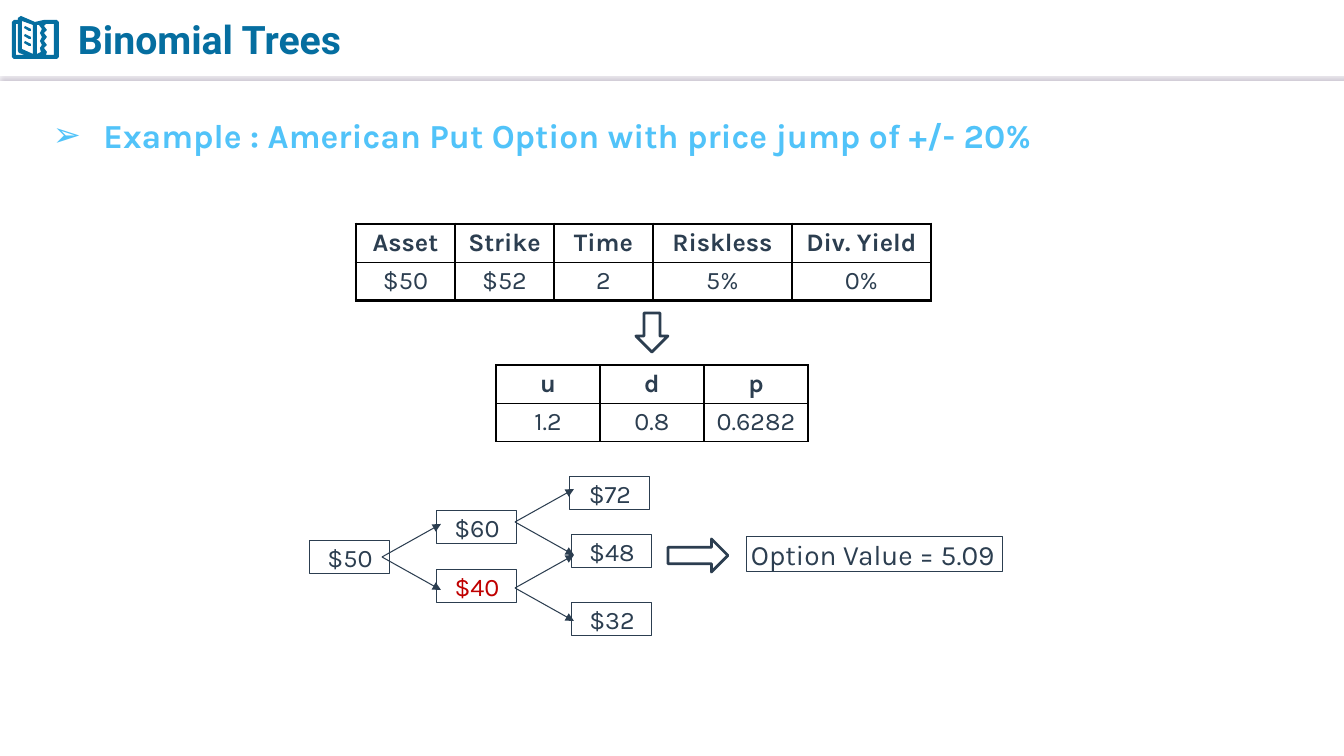
from pptx import Presentation
from pptx.dml.color import RGBColor
from pptx.enum.shapes import MSO_CONNECTOR as Link, MSO_SHAPE as Kind
from pptx.enum.text import MSO_ANCHOR as Anchor, PP_ALIGN as Align
from pptx.oxml import parse_xml
from pptx.oxml.ns import nsdecls, qn
from pptx.util import Emu, Pt

SCALE = 914400 / 100.8
BLUE = RGBColor(0x05, 0x6E, 0xA0)
SKY = RGBColor(0x51, 0xC3, 0xF9)
NAVY = RGBColor(0x2C, 0x3E, 0x50)
RED = RGBColor(0xC0, 0x00, 0x00)
WHITE = RGBColor(0xFF, 0xFF, 0xFF)
NS = nsdecls("a")


def px(*vals):
    """Turn pixels into a list of EMU lengths."""
    return [Emu(round(val * SCALE)) for val in vals]


def write(frame, text, size=18, color=NAVY, bold=False, font="Karla",
          align=Align.CENTER, inset=4, wrap=True, anchor=Anchor.MIDDLE):
    """Put one formatted line of text in a frame and return its paragraph."""
    frame.word_wrap = wrap
    frame.vertical_anchor = anchor
    side, = px(inset)
    frame.margin_left = frame.margin_right = side
    frame.margin_top = frame.margin_bottom = side // 2 if inset > 4 else side
    para = frame.paragraphs[0]
    para.alignment = align
    run = para.add_run()
    run.text = text
    run.font.name, run.font.size, run.font.bold = font, Pt(size), bold
    run.font.color.rgb = color
    return para


deck = Presentation()
deck.slide_width, deck.slide_height = px(1344, 756)
slide = deck.slides.add_slide(deck.slide_layouts[5])
shapes = slide.shapes

# Header rule with its shadow
rule = shapes.add_connector(Link.STRAIGHT, *px(0, 74, 1344, 74))
rule.line.color.rgb = WHITE
rule.line.width = Pt(0.75)
rule.element.spPr.append(parse_xml(
    f'<a:effectLst {NS}><a:outerShdw blurRad="12700" dist="38100" dir="5400000">'
    '<a:srgbClr val="BCB4C4"/></a:outerShdw></a:effectLst>'))

# Open book icon: outer edge, then the cut-outs and the text lines
edge = [(21, 16), (35, 22), (44, 20), (57, 20), (59, 22), (59, 57), (57, 59),
        (14, 59), (12, 57), (12, 22), (14, 20), (18, 20), (18, 18)]
cuts = [
    [(16, 24), (18, 24), (18, 51), (19, 53), (25, 55), (16, 55)],
    [(22, 21), (33, 25), (33, 54), (22, 49)],
    [(37, 25), (39, 25), (42, 29), (40, 33), (42, 37), (40, 41), (42, 45),
     (40, 48), (41, 52), (37, 54)],
    [(46, 24), (54, 24), (54, 55), (46, 55), (47, 52), (44, 48), (47, 45),
     (44, 41), (47, 37), (44, 33), (47, 30), (44, 26)],
]
cuts += [[(25, y), (31, y + 3), (31, y + 5), (29, y + 5), (24, y + 2)]
         for y in (26, 34, 41)]
path = shapes.build_freeform(*edge[0], scale=SCALE)
path.add_line_segments(edge[1:])
for cut in cuts:
    path.move_to(*cut[0])
    path.add_line_segments(cut[1:])
book = path.convert_to_shape()
book.shadow.inherit = False
book.fill.solid()
book.fill.fore_color.rgb = BLUE
book.line.fill.background()

# Title and bullet
title = shapes.title
title.left, title.top, title.width, title.height = px(68, 7, 742, 64)
write(title.text_frame, "Binomial Trees", size=28, color=BLUE, bold=True,
      font="Roboto", align=Align.LEFT, inset=10)

body = shapes.add_textbox(*px(43, 90, 1257, 624))
lead = write(body.text_frame,
             "Example : American Put Option with price jump of +/- 20%",
             size=24, color=SKY, bold=True, align=Align.LEFT, inset=10,
             anchor=Anchor.TOP)
lead.line_spacing = 1.5
props = lead._p.get_or_add_pPr()
props.set("marL", "457200")
props.set("indent", "-457200")
props.append(parse_xml(f'<a:buFont {NS} typeface="Arial"/>'))
props.append(parse_xml(f'<a:buChar {NS} char="➢"/>'))

# Tables: left, top, column widths, outer border in points, rows
tables = [
    (356, 224, [99, 99, 99, 139, 139], 2.25,
     [["Asset", "Strike", "Time", "Riskless", "Div. Yield"],
      ["$50", "$52", "2", "5%", "0%"]]),
    (496, 365, [104, 104, 104], 1.5,
     [["u", "d", "p"], ["1.2", "0.8", "0.6282"]]),
]
for left, top, widths, outer, rows in tables:
    grid = shapes.add_table(len(rows), len(widths),
                            *px(left, top, sum(widths), 75)).table
    grid.first_row = grid.horz_banding = False
    for col, width in zip(grid.columns, px(*widths)):
        col.width = width
    for r, row in enumerate(rows):
        grid.rows[r].height, = px(37.5)
        for c, text in enumerate(row):
            cell = grid.cell(r, c)
            cell.fill.background()
            cell.vertical_anchor = Anchor.MIDDLE
            cell.margin_left = cell.margin_right = px(4)[0]
            cell.margin_top = cell.margin_bottom = px(4)[0]
            write(cell.text_frame, text, bold=r == 0)
            rims = {"L": c == 0, "R": c == len(row) - 1,
                    "T": r == 0, "B": r == len(rows) - 1}
            for i, (side, rim) in enumerate(rims.items()):
                wide = Pt(outer if rim else 1)
                cell._tc.get_or_add_tcPr().insert(i, parse_xml(
                    f'<a:ln{side} {NS} w="{wide}"><a:solidFill>'
                    f'<a:srgbClr val="000000"/></a:solidFill></a:ln{side}>'))

# Block arrows
for kind, spot in ((Kind.DOWN_ARROW, (636, 313, 32, 39)),
                   (Kind.RIGHT_ARROW, (668, 539, 60, 33))):
    arrow = shapes.add_shape(kind, *px(*spot))
    arrow.shadow.inherit = False
    arrow.fill.solid()
    arrow.fill.fore_color.rgb = WHITE
    arrow.line.color.rgb = NAVY
    arrow.line.width = Pt(2)

# Tree nodes and the result
node = (80, 33)
boxes = [
    ("Option Value = 5.09", (747, 537, 256, 35),
     {"size": 20, "align": Align.LEFT, "wrap": False}),
    ("$50", (310, 541, *node), {}),
    ("$60", (437, 511, *node), {}),
    ("$72", (570, 477, *node), {}),
    ("$40", (437, 570, *node), {"color": RED}),
    ("$48", (572, 535, *node), {}),
    ("$32", (572, 603, *node), {}),
]
for text, spot, style in boxes:
    box = shapes.add_shape(Kind.RECTANGLE, *px(*spot))
    box.shadow.inherit = False
    box.fill.background()
    box.line.color.rgb = NAVY
    box.line.width = Pt(0.75)
    write(box.text_frame, text, **style)

# Each branch point sends one arrow up and one down
for x, y in ((382, 557), (515, 522), (515, 588)):
    for step in (-33, 33):
        branch = shapes.add_connector(Link.STRAIGHT,
                                      *px(x, y, x + 59, y + step))
        branch.line.color.rgb = NAVY
        branch.line.width = Pt(0.75)
        props = branch.element.spPr
        props.find(qn("a:ln")).append(
            parse_xml(f'<a:tailEnd {NS} type="triangle"/>'))
        props.append(parse_xml(f"<a:effectLst {NS}/>"))

deck.save("out.pptx")
